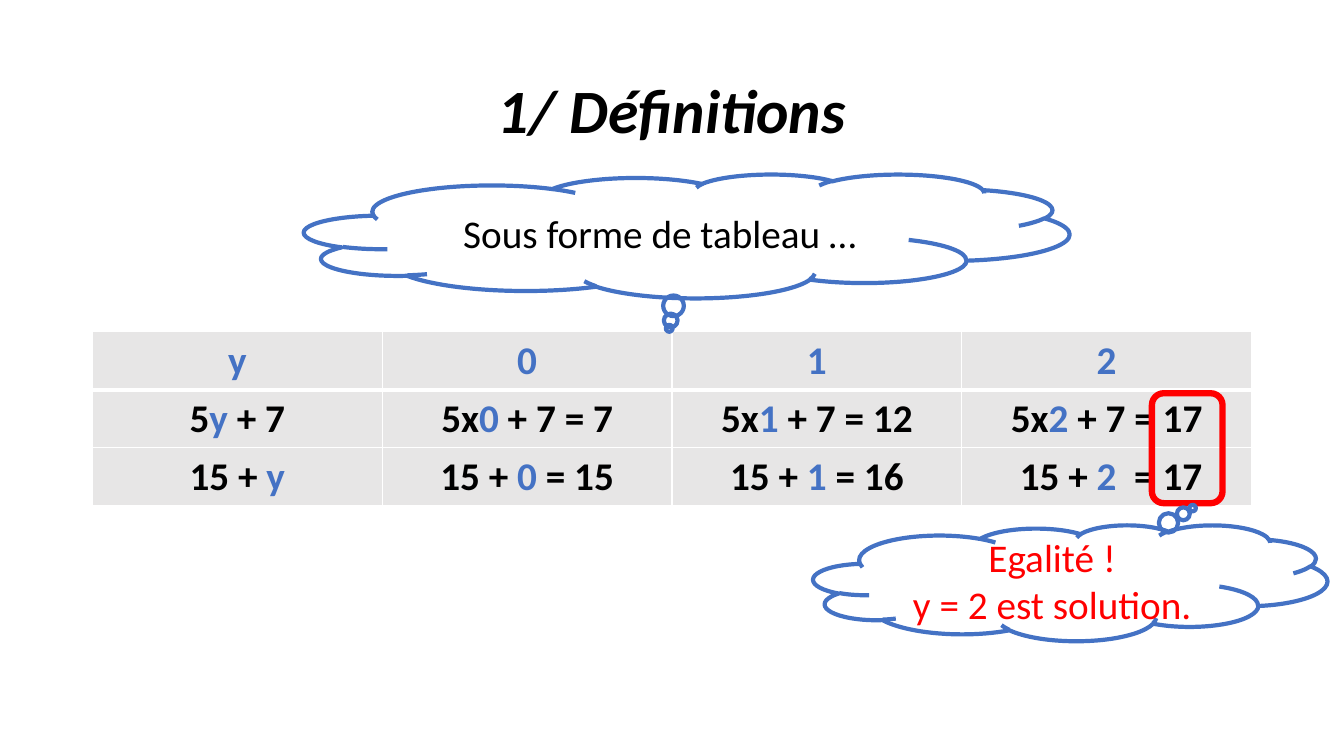
from lxml.etree import SubElement
from pptx import Presentation
from pptx.dml.color import RGBColor
from pptx.enum.shapes import MSO_SHAPE as Shape
from pptx.enum.text import MSO_ANCHOR as Anchor, PP_ALIGN as Align
from pptx.oxml.ns import qn
from pptx.util import Cm, Pt

BLACK = RGBColor(0x00, 0x00, 0x00)
WHITE = RGBColor(0xFF, 0xFF, 0xFF)
BLUE = RGBColor(0x44, 0x72, 0xC4)
RED = RGBColor(0xFF, 0x00, 0x00)
GREY = RGBColor(0xE7, 0xE6, 0xE6)

TITLE = "1/ Définitions"
# Asterisks enclose the values of y, which are set in blue.
ROWS = [
    ["*y*", "*0*", "*1*", "*2*"],
    ["5*y* + 7", "5x*0* + 7 = 7", "5x*1* + 7 = 12", "5x*2* + 7 = 17"],
    ["15 + *y*", "15 + *0* = 15", "15 + *1* = 16", " 15 + *2*  = 17"],
]
# lines, text colour, box in cm, position of the callout's tip
CLOUDS = [
    (["Egalité !", "y = 2 est solution."], RED,
     (20.5, 13.23, 12.95, 2.92), (0.238, -0.646)),
    (["Sous forme de tableau …"], BLACK,
     (7.67, 4.39, 19.28, 3.12), (-0.023, 0.745)),
]
SOLUTION_BOX = (29.03, 9.91, 1.78, 2.77)
LEFT, CONTENT_WIDTH = 2.33, 29.21
TITLE_TOP, TITLE_HEIGHT = 1.01, 3.68
TABLE_TOP, ROW_HEIGHT = 8.36, 1.46


def write(frame, lines, size=28, color=BLACK, bold=False, italic=False, spacing=None):
    """Write centred lines; parts between asterisks become blue."""
    frame.word_wrap = True
    for number, line in enumerate(lines):
        para = frame.paragraphs[0] if number == 0 else frame.add_paragraph()
        para.alignment = Align.CENTER
        para.line_spacing = spacing
        for index, part in enumerate(line.split("*")):
            if not part:
                continue
            span = para.add_run()
            span.text = part
            span.font.name = "Calibri"
            span.font.size = Pt(size)
            span.font.bold = bold
            span.font.italic = italic
            span.font.color.rgb = BLUE if index % 2 else color


def set_borders(cell, top, bottom):
    """Give a cell white borders, 1 pt wide at the sides."""
    properties = cell._tc.get_or_add_tcPr()
    for side, width in (("L", 1), ("R", 1), ("T", top), ("B", bottom)):
        line = SubElement(properties, qn(f"a:ln{side}"), w=str(Pt(width)))
        fill = SubElement(line, qn("a:solidFill"))
        SubElement(fill, qn("a:srgbClr"), val=str(WHITE))


def add_outline(page, kind, box, color, width):
    shape = page.shapes.add_shape(kind, *map(Cm, box))
    shape.shadow.inherit = False
    shape.fill.background()
    shape.line.color.rgb = color
    shape.line.width = Pt(width)
    return shape


def add_title(page):
    title = page.shapes.title
    title.left, title.top = Cm(LEFT), Cm(TITLE_TOP)
    title.width, title.height = Cm(CONTENT_WIDTH), Cm(TITLE_HEIGHT)
    title.text_frame.vertical_anchor = Anchor.MIDDLE
    write(title.text_frame, [TITLE], size=44, bold=True, italic=True, spacing=0.9)


def add_values_table(page):
    table = page.shapes.add_table(
        len(ROWS), len(ROWS[0]), Cm(LEFT), Cm(TABLE_TOP),
        Cm(CONTENT_WIDTH), Cm(ROW_HEIGHT * len(ROWS))).table
    table.horz_banding = False
    for row_index, row in enumerate(ROWS):
        table.rows[row_index].height = Cm(ROW_HEIGHT)
        for column_index, text in enumerate(row):
            cell = table.cell(row_index, column_index)
            set_borders(cell, top=3 if row_index == 1 else 1,
                        bottom=3 if row_index == 0 else 1)
            cell.fill.solid()
            cell.fill.fore_color.rgb = GREY
            write(cell.text_frame, [text], bold=True)


def add_cloud(page, lines, color, box, tip):
    cloud = add_outline(page, Shape.CLOUD_CALLOUT, box, BLUE, 3)
    cloud.adjustments[0], cloud.adjustments[1] = tip
    cloud.text_frame.vertical_anchor = Anchor.MIDDLE
    write(cloud.text_frame, lines, color=color)


def main():
    deck = Presentation()
    deck.slide_width, deck.slide_height = Cm(33.87), Cm(19.05)
    page = deck.slides.add_slide(deck.slide_layouts[5])
    add_title(page)
    add_values_table(page)
    add_outline(page, Shape.ROUNDED_RECTANGLE, SOLUTION_BOX, RED, 4.5)
    for cloud in CLOUDS:
        add_cloud(page, *cloud)
    deck.save("out.pptx")


if __name__ == "__main__":
    main()
